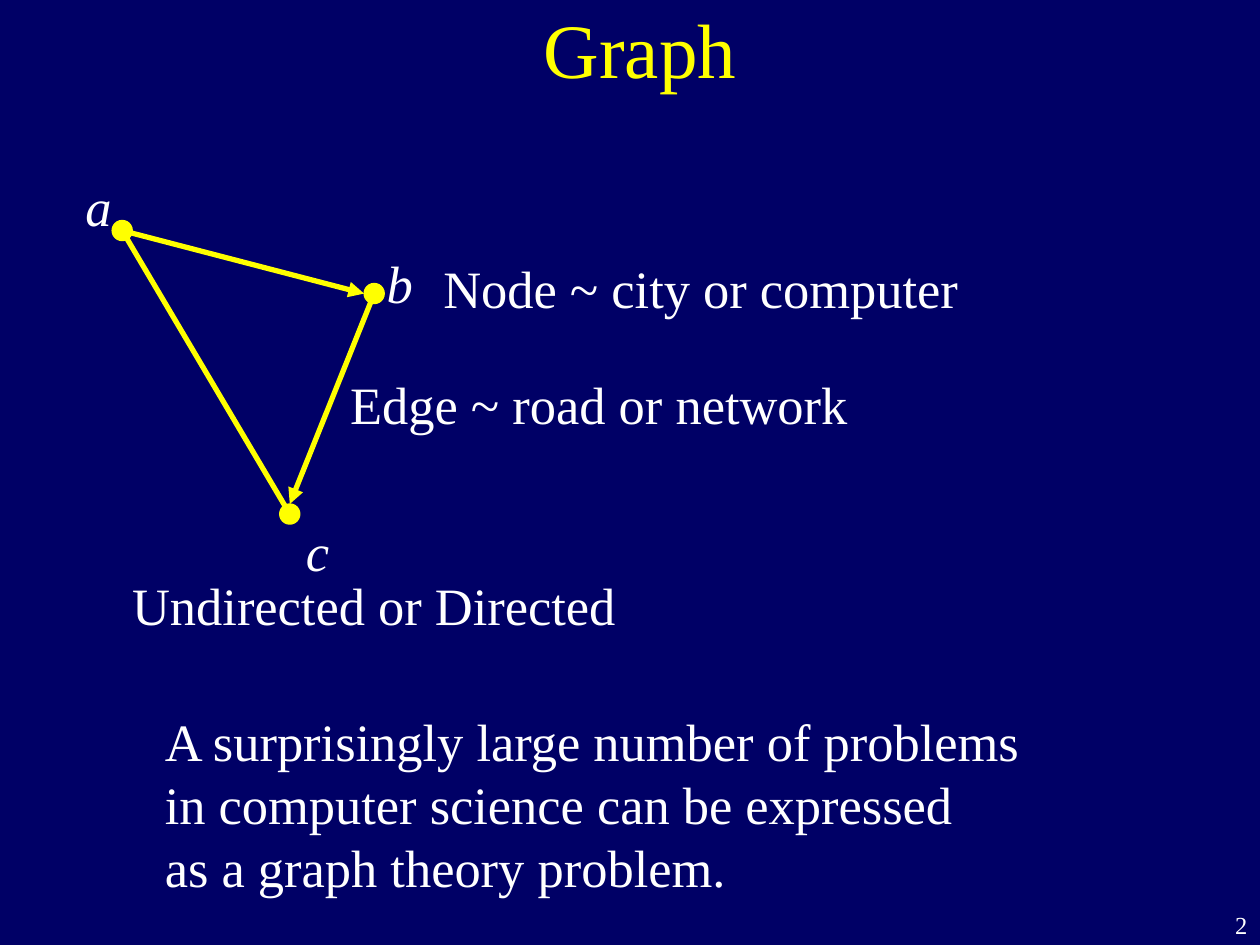
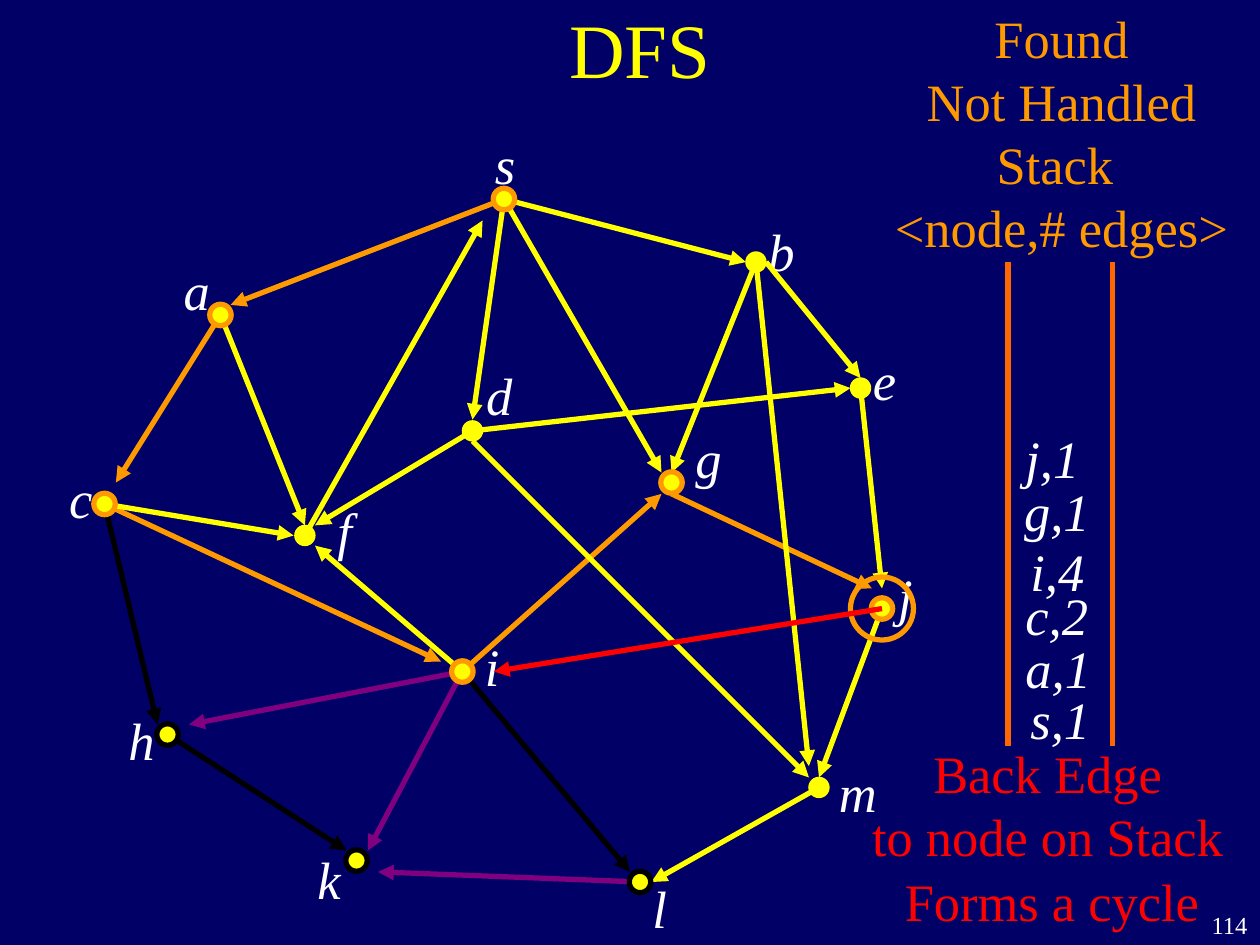
from lxml.etree import SubElement
from pptx import Presentation
from pptx.dml.color import RGBColor
from pptx.enum.shapes import MSO_CONNECTOR as Connector, MSO_SHAPE as Shape
from pptx.enum.text import MSO_ANCHOR as Anchor, PP_ALIGN as Align
from pptx.oxml.ns import qn
from pptx.util import Inches, Pt

NAVY = RGBColor(0x00, 0x00, 0x66)
WHITE = RGBColor(0xFF, 0xFF, 0xFF)
YELLOW = RGBColor(0xFF, 0xFF, 0x00)
ORANGE = RGBColor(0xFF, 0x99, 0x00)
DARK_ORANGE = RGBColor(0xFF, 0x66, 0x00)
RED = RGBColor(0xFF, 0x00, 0x00)
PURPLE = RGBColor(0x80, 0x00, 0x80)
BLACK = RGBColor(0x00, 0x00, 0x00)
FONT = "Times New Roman"
DOT = 0.17


def add_text(page, lines, left, top, width, height=0.6, size=30, color=WHITE,
             italic=False, align=Align.LEFT, anchor=Anchor.TOP):
    box = page.shapes.add_textbox(Inches(left), Inches(top), Inches(width), Inches(height))
    box.text_frame.word_wrap = False
    box.text_frame.vertical_anchor = anchor
    para = box.text_frame.paragraphs[0]
    para.alignment = align
    for index, line in enumerate(lines):
        if index:
            para.add_line_break()
        span = para.add_run()
        span.text = line
        span.font.name = FONT
        span.font.size = Pt(size)
        span.font.italic = italic
        span.font.color.rgb = color


def add_line(page, start, end, color, arrow=True):
    points = [Inches(value) for value in (*start, *end)]
    line = page.shapes.add_connector(Connector.STRAIGHT, *points)
    line.line.color.rgb = color
    line.line.width = Pt(3)
    properties = line.element.spPr
    if arrow:
        SubElement(properties.find(qn("a:ln")), qn("a:tailEnd"), type="triangle")
    SubElement(properties, qn("a:effectLst"))


deck = Presentation()
deck.slide_width = Inches(10)
deck.slide_height = Inches(7.5)
background = deck.slide_master.background.fill
background.solid()
background.fore_color.rgb = NAVY

pages = []
for title, number in [("Graph", "2"), ("DFS", "114")]:
    page = deck.slides.add_slide(deck.slide_layouts[6])
    add_text(page, [number], 9.5, 7.17, 0.5, 0.33, size=14, align=Align.RIGHT)
    add_text(page, [title], 0.83, -0.25, 8.5, 1.25, size=44, color=YELLOW,
             align=Align.CENTER, anchor=Anchor.MIDDLE)
    pages.append(page)
graph_page, dfs_page = pages

graph_nodes = {"a": (0.97, 1.83), "b": (2.97, 2.33), "c": (2.3, 4.08)}
graph_labels = [("a", 0.58, 1.33, 0.41), ("b", 2.97, 1.94, 0.41), ("c", 2.33, 4.07, 0.39)]
add_line(graph_page, graph_nodes["a"], graph_nodes["c"], YELLOW, arrow=False)
add_line(graph_page, graph_nodes["a"], (2.89, 2.33), YELLOW)
add_line(graph_page, graph_nodes["b"], (2.3, 4), YELLOW)
for sentence, left, top, width in [
    ("Node ~ city or computer", 3.42, 1.98, 4.3),
    ("Edge ~ road or network", 2.68, 2.9, 4.16),
    ("Undirected or Directed", 0.95, 4.5, 4.05),
]:
    add_text(graph_page, [sentence], left, top, width)
add_text(graph_page, ["A surprisingly large number of problems ",
                      "in computer science can be expressed ",
                      "as a graph theory problem."], 1.21, 5.58, 7.13, 1.6)

dfs_nodes = {
    "s": (4, 1.58), "a": (1.75, 2.5), "b": (6, 2.08), "c": (0.83, 4),
    "d": (3.75, 3.42), "e": (6.83, 3.08), "f": (2.42, 4.25), "g": (5.33, 3.83),
    "h": (1.33, 5.83), "i": (3.67, 5.33), "j": (7, 4.83), "k": (2.83, 6.83),
    "l": (5.08, 7), "m": (6.5, 6.25),
}
edge_starts = dfs_nodes | {"b right": (6.08, 2.08), "d bottom": (3.75, 3.5),
                           "g bottom": (5.33, 3.92)}
dfs_labels = [
    ("s", 3.83, 1, 0.36), ("a", 1.36, 2, 0.41), ("c", 0.45, 3.65, 0.39),
    ("h", 0.92, 5.57, 0.41), ("k", 2.42, 6.67, 0.39), ("f", 2.58, 3.9, 0.32),
    ("i", 3.75, 4.98, 0.32), ("l", 5.08, 6.9, 0.32), ("m", 6.56, 5.98, 0.5),
    ("j", 7.03, 4.43, 0.32), ("e", 6.83, 2.71, 0.39), ("b", 6, 1.69, 0.41),
    ("g", 5.42, 3.33, 0.41), ("d", 3.76, 2.83, 0.41),
]
stack_entries = [
    ("j,1", 8.04, 3.33, 0.63), ("g,1", 8.03, 3.75, 0.72), ("i,4", 8.08, 4.23, 0.63),
    ("c,2", 8.04, 4.58, 0.7), ("a,1", 8.04, 5, 0.72), ("s,1", 8.08, 5.4, 0.68),
]
for page, labels in [(graph_page, graph_labels), (dfs_page, dfs_labels + stack_entries)]:
    for label, left, top, width in labels:
        add_text(page, [label], left, top, width, italic=True)

dfs_edges = [
    ("s", (1.83, 2.42), ORANGE), ("s", (3.75, 3.33), YELLOW),
    ("s", (5.25, 3.75), YELLOW), ("s", (5.92, 2.08), YELLOW),
    ("b", (5.33, 3.75), YELLOW), ("i", (5.25, 3.92), ORANGE),
    ("d", (6.75, 3.08), YELLOW), ("b right", (6.83, 3), YELLOW),
    ("g bottom", (6.92, 4.67), ORANGE), ("e", (7, 4.67), YELLOW),
    ("d bottom", (6.42, 6.17), YELLOW), ("d", (2.5, 4.17), YELLOW),
    ("a", (2.42, 4.17), YELLOW), ("a", (0.92, 3.83), ORANGE),
    ("c", (3.5, 5.25), ORANGE), ("i", (2.92, 6.75), PURPLE),
    ("i", (5, 6.92), BLACK), ("i", (1.5, 5.75), PURPLE),
    ("m", (5.17, 7), YELLOW), ("i", (2.5, 4.33), YELLOW),
    ("j", (6.5, 6.17), YELLOW), ("l", (3, 6.92), PURPLE),
    ("f", (3.83, 1.75), YELLOW), ("h", (2.75, 6.75), BLACK),
    ("c", (1.25, 5.75), BLACK), ("c", (2.33, 4.25), YELLOW),
    ("b", (6.42, 6.08), YELLOW),
]
for start, end, color in dfs_edges:
    add_line(dfs_page, edge_starts[start], end, color)
for stack_side in (8, 8.83):
    add_line(dfs_page, (stack_side, 2.08), (stack_side, 5.92), DARK_ORANGE, arrow=False)

outlines = dict.fromkeys("sacigj", ORANGE) | dict.fromkeys("hkl", BLACK)
circles = [(graph_page, center, DOT, YELLOW, None) for center in graph_nodes.values()]
circles += [(dfs_page, center, DOT, YELLOW, outlines.get(name))
            for name, center in dfs_nodes.items()]
circles.append((dfs_page, dfs_nodes["j"], 0.5, None, ORANGE))
for page, (x, y), size, fill, outline in circles:
    circle = page.shapes.add_shape(Shape.OVAL, Inches(x - size / 2), Inches(y - size / 2),
                                   Inches(size), Inches(size))
    circle.shadow.inherit = False
    if fill:
        circle.fill.solid()
        circle.fill.fore_color.rgb = fill
    else:
        circle.fill.background()
    if outline:
        circle.line.color.rgb = outline
        circle.line.width = Pt(3)
    else:
        circle.line.fill.background()

add_line(dfs_page, dfs_nodes["j"], (3.92, 5.33), RED)
for lines, left, top, width, height, color in [
    (["Found", "Not Handled", "Stack ", "<node,# edges>"], 7, 0, 2.85, 2.1, ORANGE),
    (["Back Edge", "to node on Stack"], 6.82, 5.83, 2.99, 1.1, RED),
    (["Forms a cycle"], 7.08, 6.85, 2.54, 0.6, RED),
]:
    add_text(dfs_page, lines, left, top, width, height, color=color, align=Align.CENTER)

deck.save("out.pptx")
